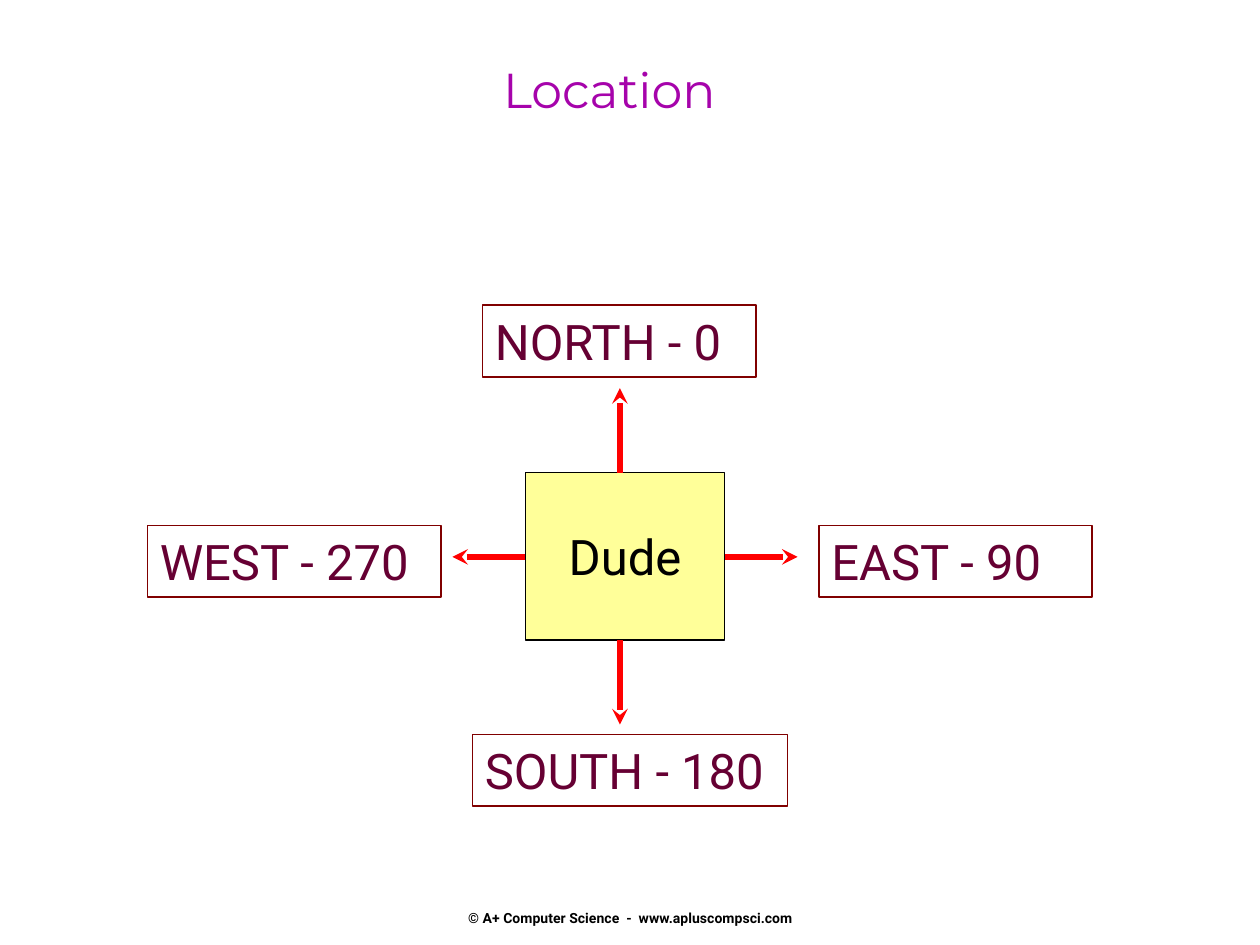
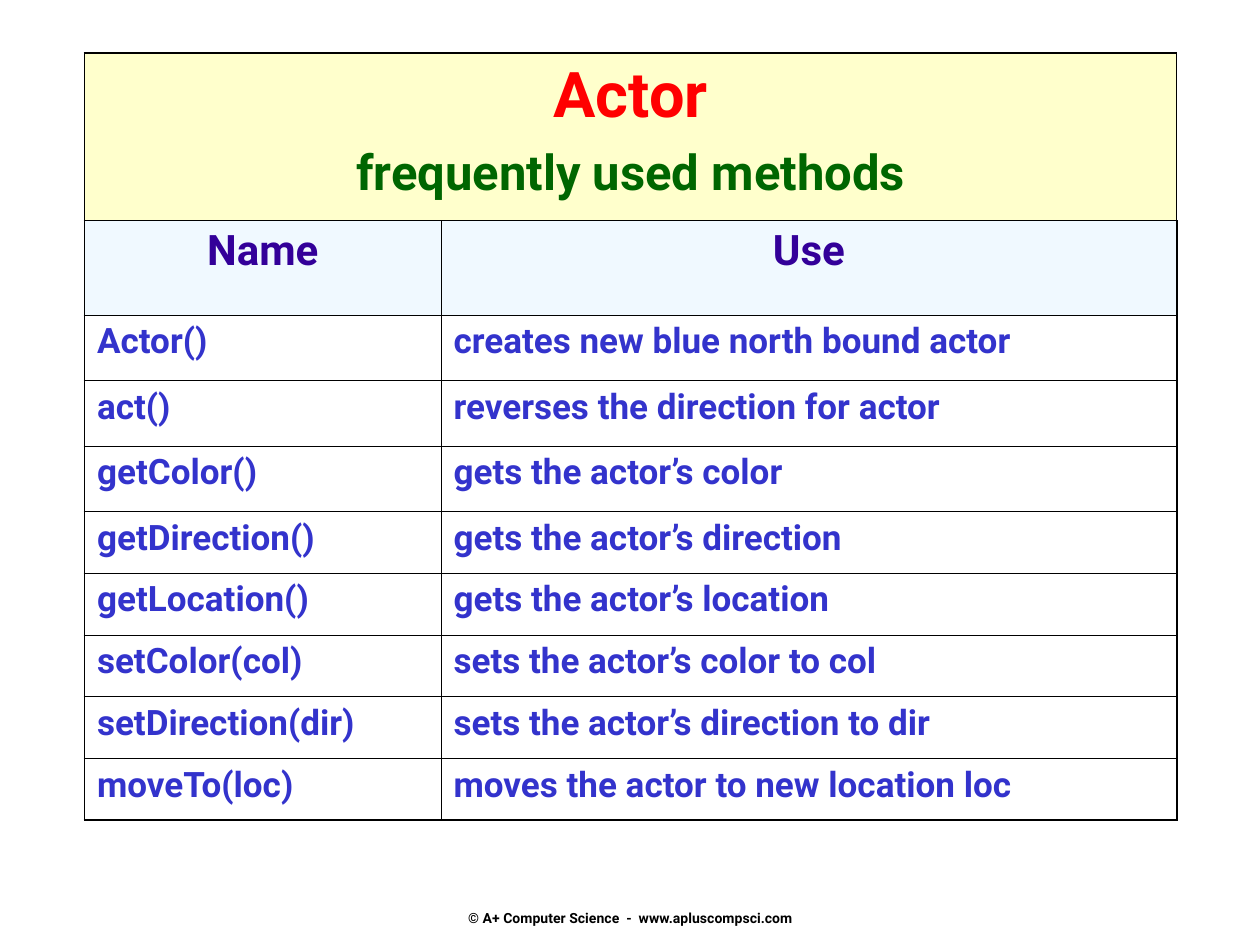
import pptx
import pptx.util
import pptx.dml.color
import pptx.enum.shapes
import pptx.enum.text
import pptx.oxml
import pptx.oxml.ns
from pptx.util import Inches

# Shared style
BODY_FONT = "Roboto"
TITLE_FONT = "Montserrat"
BLACK, RED, PURPLE = "000000", "FF0000", "A603AB"
MAROON, PLUM, YELLOW = "800000", "660033", "FFFF99"
CREAM, PALE_BLUE, WHITE = "FFFFCC", "F0F9FF", "FFFFFF"
GREEN, INDIGO, BLUE = "006600", "330099", "3333CC"
OUTER, INNER = 1.08, 0.45
FOOTER = "© A+ Computer Science  -  www.apluscompsci.com"

LEFT = pptx.enum.text.PP_ALIGN.LEFT
CENTER = pptx.enum.text.PP_ALIGN.CENTER
TOP = pptx.enum.text.MSO_ANCHOR.TOP
MIDDLE = pptx.enum.text.MSO_ANCHOR.MIDDLE
BOTTOM = pptx.enum.text.MSO_ANCHOR.BOTTOM

METHODS = [
    ("Actor()", "creates new blue north bound actor"),
    ("act()", "reverses the direction for actor"),
    ("getColor()", "gets the actor’s color"),
    ("getDirection()", "gets the actor’s direction"),
    ("getLocation()", "gets the actor’s location"),
    ("setColor(col)", "sets the actor’s color to col"),
    ("setDirection(dir)", "sets the actor’s direction to dir"),
    ("moveTo(loc)", "moves the actor to new location loc"),
]


def rgb(value):
    return pptx.dml.color.RGBColor.from_string(value)


def write(p, text, size=28, color=BLACK, font=BODY_FONT, bold=False,
          align=LEFT, before=0):
    p.alignment = align
    p.space_before = pptx.util.Pt(before)
    r = p.add_run()
    r.text = text
    r.font.name = font
    r.font.size = pptx.util.Pt(size)
    r.font.bold = bold
    r.font.color.rgb = rgb(color)


def add_text(s, box, text, anchor=TOP, **fmt):
    sp = s.shapes.add_textbox(*map(Inches, box))
    tf = sp.text_frame
    tf.word_wrap = True
    tf.vertical_anchor = anchor
    write(tf.paragraphs[0], text, **fmt)
    return tf


def add_box(s, box, text, line, fill=None, anchor=TOP, **fmt):
    sp = s.shapes.add_shape(pptx.enum.shapes.MSO_SHAPE.RECTANGLE,
                            *map(Inches, box))
    sp.shadow.inherit = False
    if fill:
        sp.fill.solid()
        sp.fill.fore_color.rgb = rgb(fill)
    else:
        sp.fill.background()
    sp.line.color.rgb = rgb(line)
    sp.line.width = pptx.util.Pt(1)
    tf = sp.text_frame
    tf.word_wrap = True
    tf.vertical_anchor = anchor
    write(tf.paragraphs[0], text, **fmt)


def add_arrow(s, start, end):
    c = s.shapes.add_connector(pptx.enum.shapes.MSO_CONNECTOR.STRAIGHT,
                               *map(Inches, start + end))
    c.line.color.rgb = rgb(RED)
    c.line.width = pptx.util.Pt(3)
    ln = c.line._get_or_add_ln()
    ln.append(pptx.oxml.parse_xml(
        f'<a:tailEnd {pptx.oxml.ns.nsdecls("a")} type="stealth"/>'))
    c._element.spPr.append(pptx.oxml.parse_xml(
        f'<a:effectLst {pptx.oxml.ns.nsdecls("a")}/>'))


def style_cell(cell, fill, **widths):
    """Draw the borders (L, R, T, B widths in points), then the fill."""
    tc_pr = cell._tc.get_or_add_tcPr()
    for side in "LRTB":
        width = int(pptx.util.Pt(widths[side]))
        tc_pr.append(pptx.oxml.parse_xml(
            f'<a:ln{side} {pptx.oxml.ns.nsdecls("a")} w="{width}">'
            f'<a:solidFill><a:srgbClr val="{BLACK}"/></a:solidFill>'
            f'</a:ln{side}>'))
    cell.fill.solid()
    cell.fill.fore_color.rgb = rgb(fill)


def add_slide(prs):
    s = prs.slides.add_slide(prs.slide_layouts[6])
    tf = add_text(s, (3.42, 6.85, 3.17, 0.5), FOOTER, anchor=BOTTOM,
                  size=8, bold=True, align=CENTER)
    tf.margin_bottom = 0
    return s


def location_slide(prs):
    s = add_slide(prs)
    add_text(s, (0.92, 0.42, 7.83, 1), "Location", color=PURPLE,
             font=TITLE_FONT, align=CENTER)

    # Actor in the middle, arrows leaving each edge
    left, top, width, height = 4.17, 3.75, 1.58, 1.33
    right, bottom = left + width, top + height
    x, y = 4.92, 4.42
    reach_x, reach_y = 0.58, 0.67
    add_box(s, (left, top, width, height), "Dude", BLACK, fill=YELLOW,
            anchor=MIDDLE, align=CENTER)
    add_arrow(s, (x, top), (x, top - reach_y))
    add_arrow(s, (x, bottom), (x, bottom + reach_y))
    add_arrow(s, (left, y), (left - reach_x, y))
    add_arrow(s, (right, y), (right + reach_x, y))

    # Compass labels
    for label, lx, ly, lw in [("NORTH - 0", 3.83, 2.42, 2.17),
                              ("SOUTH - 180", 3.75, 5.83, 2.5),
                              ("EAST - 90", 6.5, 4.17, 2.17),
                              ("WEST - 270", 1.17, 4.17, 2.33)]:
        add_box(s, (lx, ly, lw, 0.57), label, MAROON, color=PLUM)


def methods_slide(prs):
    s = add_slide(prs)
    heights = [1.33, 0.75] + [0.52] * 3 + [0.49] * 5
    widths = [2.83, 5.84]
    table = s.shapes.add_table(
        len(heights), len(widths), Inches(0.67), Inches(0.42),
        Inches(sum(widths)), Inches(sum(heights))).table
    table.first_row = table.horz_banding = False
    for column, width in zip(table.columns, widths):
        column.width = Inches(width)
    for row, height in zip(table.rows, heights):
        row.height = Inches(height)

    # Borders and fills
    last = len(heights) - 1
    fills = [CREAM, PALE_BLUE] + [WHITE] * len(METHODS)
    for i, fill in enumerate(fills):
        for j in range(2):
            style_cell(table.cell(i, j), fill,
                       L=INNER if j else OUTER, R=OUTER if j else INNER,
                       T=INNER if i else OUTER,
                       B=OUTER if i == last else INNER)

    # Heading across both columns
    heading = table.cell(0, 0)
    heading.merge(table.cell(0, 1))
    tf = heading.text_frame
    write(tf.paragraphs[0], "Actor", size=36, color=RED, bold=True,
          align=CENTER)
    write(tf.add_paragraph(), "frequently used methods", color=GREEN,
          bold=True, align=CENTER, before=7)

    # Column names and methods
    for i, texts in enumerate([("Name", "Use")] + METHODS, start=1):
        if i == 1:
            fmt = dict(size=24, color=INDIGO, align=CENTER)
        else:
            fmt = dict(size=20, color=BLUE)
        for j, text in enumerate(texts):
            p = table.cell(i, j).text_frame.paragraphs[0]
            write(p, text, bold=True, **fmt)


def main():
    prs = pptx.Presentation()
    prs.slide_width, prs.slide_height = Inches(10), Inches(7.5)
    location_slide(prs)
    methods_slide(prs)
    prs.save("out.pptx")


if __name__ == "__main__":
    main()
